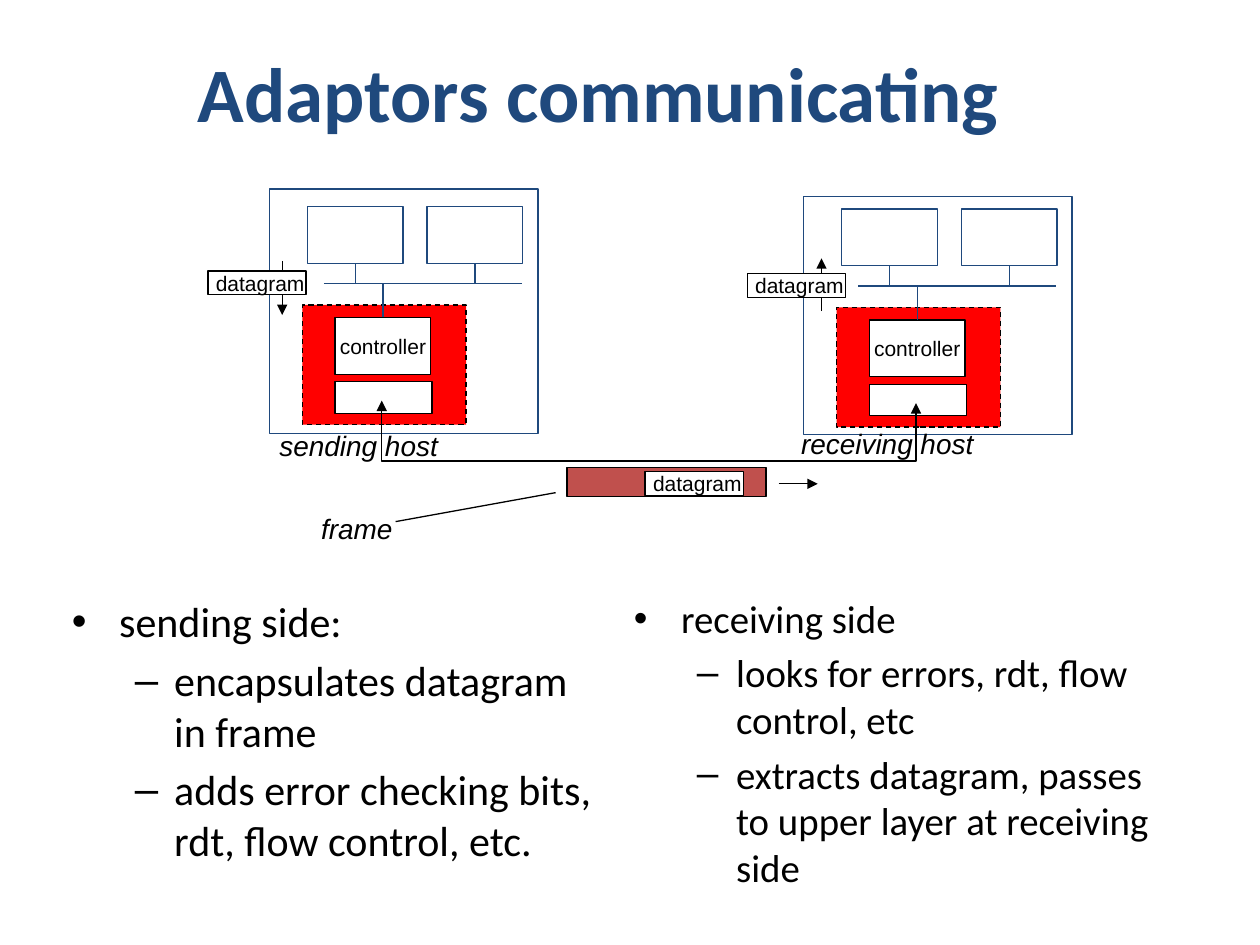
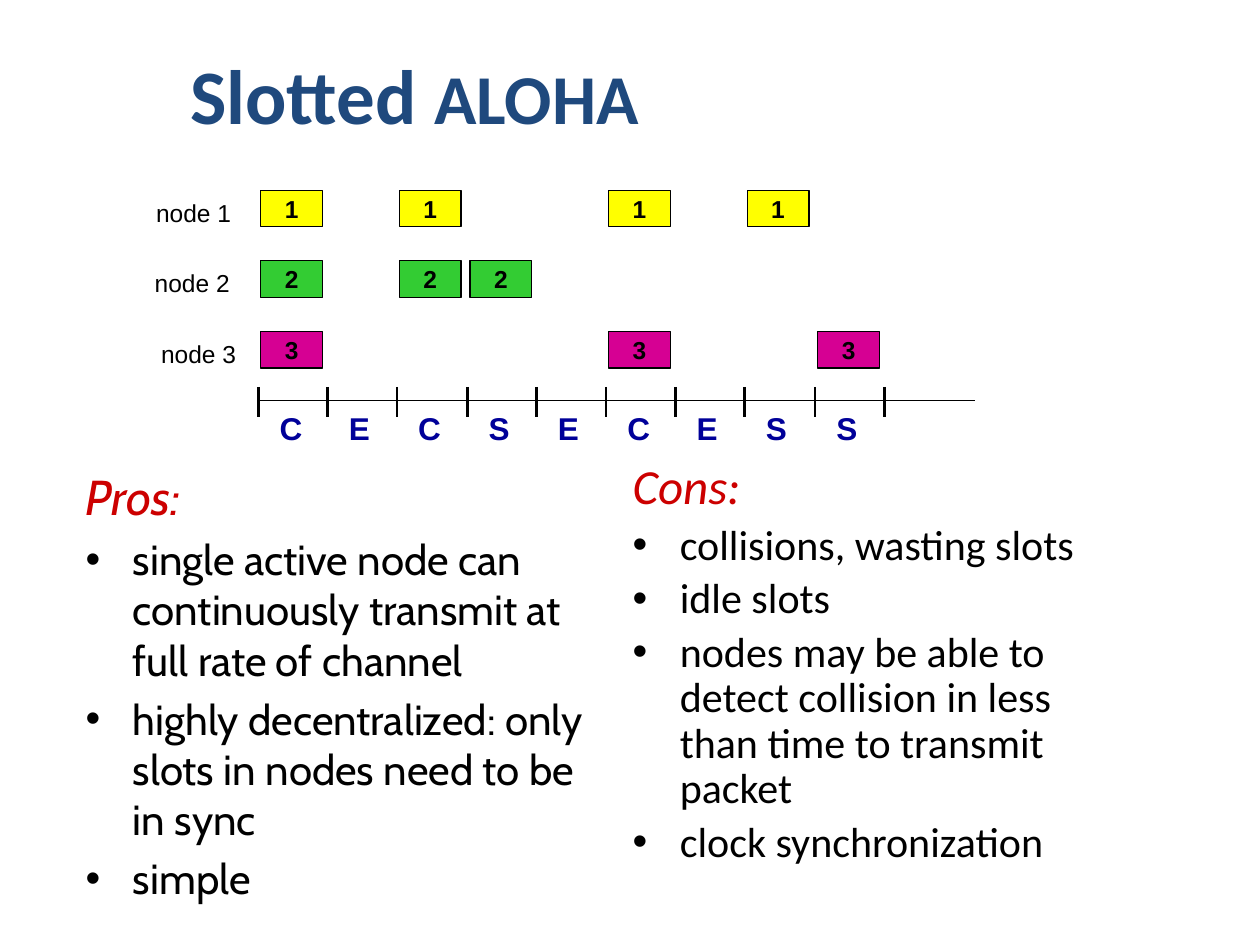
from dataclasses import dataclass
from typing import Any, NamedTuple

from lxml import etree
from pptx import Presentation
from pptx import util as u
from pptx.dml.color import RGBColor
from pptx.enum import dml, shapes, text
from pptx.oxml import ns

PX = 9144  # EMU in one px, 100 px to the inch
COLORS = {
    "ink": "000000", "paper": "FFFFFF", "navy": "1F497D", "adaptor": "FF0000",
    "frame": "C0504D", "heading": "CC0000", "outcome": "000099",
    "yellow": "FFFF00", "green": "33CC33", "magenta": "D60093",
}
TITLE = {"name": "Calibri", "bold": True}
SMALL = {"name": "Arial", "size": u.Pt(12)}
CAPTION = {"name": "Arial", "size": u.Pt(16), "italic": True}
NODE_LABEL = {"name": "Arial", "size": u.Pt(14)}
PACKET = {**NODE_LABEL, "bold": True}
OUTCOME = {"name": "Arial", "size": u.Pt(18), "bold": True}
DEVICE_SIZE = (76, 45)
TOP, BOTTOM = 0, 2  # connection sites of a rectangle


class Box(NamedTuple):
    left: int
    top: int
    width: int
    height: int


class Item(NamedTuple):
    words: str
    level: int = 0
    heading: bool = False


@dataclass
class Column:
    box: Box
    items: list[Item]
    font: str = "Calibri"
    size: float = 24
    spacing: float = 1.0


@dataclass
class Host:
    outline: Box
    adaptor: tuple[int, int]
    datagram: tuple[int, int]
    arrow: tuple[int, int, int]  # x, start y, end y
    caption: str
    caption_box: Box


@dataclass
class Node:
    label: str
    label_left: int
    color: str
    slots: list[int]


HOSTS = [
    Host(Box(214, 150, 213, 194), (240, 242), (165, 215), (224, 207, 250),
         "sending host", Box(212, 335, 146, 37)),
    Host(Box(638, 156, 213, 189), (664, 244), (593, 217), (652, 247, 205),
         "receiving host", Box(626, 334, 157, 37)),
]
ADAPTOR_COLUMNS = [
    Column(Box(47, 468, 445, 212), [
        Item("sending side:"),
        Item("encapsulates datagram in frame", 1),
        Item("adds error checking bits, rdt, flow control, etc.", 1),
    ]),
    Column(Box(493, 467, 447, 202), [
        Item("receiving side"),
        Item("looks for errors, rdt, flow control, etc", 1),
        Item("extracts datagram, passes to upper layer at receiving side", 1),
    ], size=22.2),
]
NODES = [
    Node("node 1", 114, "yellow", [0, 2, 5, 7]),
    Node("node 2", 113, "green", [0, 2, 3]),
    Node("node 3", 118, "magenta", [0, 5, 8]),
]
SLOT_OUTCOMES = "CECSECESS"
ALOHA_COLUMNS = [
    Column(Box(58, 365, 417, 350), [
        Item("Pros:", heading=True),
        Item("single active node can continuously transmit at full rate of channel"),
        Item("highly decentralized: only slots in nodes need to be in sync"),
        Item("simple"),
    ], font="Cabin"),
    Column(Box(492, 362, 417, 350), [
        Item("Cons:", heading=True),
        Item("collisions, wasting slots"),
        Item("idle slots"),
        Item("nodes may be able to detect collision in less than time to transmit packet"),
        Item("clock synchronization"),
    ], spacing=0.9),
]


def emu(*lengths: int) -> list[int]:
    return [length * PX for length in lengths]


def rgb(color: str) -> RGBColor:
    return RGBColor.from_string(COLORS[color])


def apply(target: Any, values: dict[str, Any]) -> None:
    for attribute, value in values.items():
        setattr(target, attribute, value)


def place(shape: Any, box: Box) -> None:
    apply(shape, dict(zip(box._fields, emu(*box))))


def write(paragraph: Any, words: str, style: dict[str, Any], color: str = "ink") -> None:
    run = paragraph.add_run()
    run.text = words
    apply(run.font, style)
    run.font.color.rgb = rgb(color)


def add_arrowheads(shape: Any, *ends: str) -> None:
    outline = shape._element.spPr.get_or_add_ln()
    for end in ends:
        etree.SubElement(outline, ns.qn(f"a:{end}"), type="triangle")


def style_line(line: Any, color: str = "ink", width: float = 0.75) -> None:
    line.color.rgb = rgb(color)
    line.width = u.Pt(width)


def add_box(slide: Any, box: Box, fill: str = "paper", line: str = "ink",
            words: str = "", style: dict[str, Any] = SMALL) -> Any:
    shape = slide.shapes.add_shape(shapes.MSO_SHAPE.RECTANGLE, *emu(*box))
    shape.shadow.inherit = False
    shape.fill.solid()
    shape.fill.fore_color.rgb = rgb(fill)
    style_line(shape.line, line)
    if words:
        apply(shape.text_frame, {
            "margin_left": 0, "margin_right": 0, "margin_top": 0, "margin_bottom": 0,
            "word_wrap": False, "vertical_anchor": text.MSO_ANCHOR.MIDDLE,
        })
        paragraph = shape.text_frame.paragraphs[0]
        paragraph.alignment = text.PP_ALIGN.CENTER
        write(paragraph, words, style)
    return shape


def add_label(slide: Any, box: Box, words: str, style: dict[str, Any],
              color: str = "ink") -> None:
    frame = slide.shapes.add_textbox(*emu(*box)).text_frame
    apply(frame, {"word_wrap": False, "auto_size": text.MSO_AUTO_SIZE.SHAPE_TO_FIT_TEXT})
    write(frame.paragraphs[0], words, style, color)


def add_line(slide: Any, start: tuple[int, int], end: tuple[int, int],
             color: str = "ink", width: float = 0.75, arrow: bool = False) -> Any:
    line = slide.shapes.add_connector(shapes.MSO_CONNECTOR.STRAIGHT, *emu(*start, *end))
    style_line(line.line, color, width)
    if arrow:
        add_arrowheads(line, "tailEnd")
    etree.SubElement(line._element.spPr, ns.qn("a:effectLst"))
    return line


def add_datagram(slide: Any, left: int, top: int) -> None:
    datagram = add_box(slide, Box(left, top, 78, 19), words="datagram")
    datagram.text_frame.margin_left = 5 * PX


def add_content_slide(deck: Any, title_box: Box, title_runs: list[tuple[str, int]],
                      columns: list[Column]) -> Any:
    """Add a slide with its title and two bulleted columns."""
    slide = deck.slides.add_slide(deck.slide_layouts[3])
    title, *bodies = slide.placeholders
    place(title, title_box)
    for words, size in title_runs:
        write(title.text_frame.paragraphs[0], words, {**TITLE, "size": u.Pt(size)}, "navy")
    for body, column in zip(bodies, columns):
        place(body, column.box)
        frame = body.text_frame
        frame.auto_size = text.MSO_AUTO_SIZE.NONE
        for index, item in enumerate(column.items):
            paragraph = frame.add_paragraph() if index else frame.paragraphs[0]
            apply(paragraph, {"level": item.level, "line_spacing": column.spacing})
            style = {"name": column.font, "size": u.Pt(28 if item.heading else column.size),
                     "italic": item.heading}
            write(paragraph, item.words, style, "heading" if item.heading else "ink")
            if item.heading:
                etree.SubElement(paragraph._p.get_or_add_pPr(), ns.qn("a:buNone"))
    return slide


def add_host(slide: Any, host: Host) -> None:
    """Draw a host: two monitors on a bus, and the adaptor below it."""
    left, top = host.adaptor
    bus_y = top - 17
    add_box(slide, host.outline, line="navy")
    arrow_x, start_y, end_y = host.arrow
    add_line(slide, (arrow_x, start_y), (arrow_x, end_y), arrow=True)
    adaptor = add_box(slide, Box(left, top, 130, 95), "adaptor")
    adaptor.line.dash_style = dml.MSO_LINE.DASH
    add_box(slide, Box(left + 26, top + 61, 77, 25))
    controller = add_box(slide, Box(left + 26, top + 10, *DEVICE_SIZE), words="controller")
    add_line(slide, (left + 17, bus_y), (left + 174, bus_y), "navy")
    first, second = (add_box(slide, Box(left + offset, top - 78, *DEVICE_SIZE), line="navy")
                     for offset in (4, 99))
    for device, side, offset in ((controller, TOP, 26), (first, BOTTOM, 4), (second, BOTTOM, 99)):
        x = left + offset + DEVICE_SIZE[0] // 2
        drop = add_line(slide, (x, bus_y), (x, bus_y), "navy")
        drop.end_connect(device, side)
    add_label(slide, host.caption_box, host.caption, CAPTION)
    add_datagram(slide, *host.datagram)


def build_adaptors(deck: Any) -> None:
    slide = add_content_slide(deck, Box(50, 10, 850, 125),
                              [("Adaptors communicating", 44)], ADAPTOR_COLUMNS)
    add_box(slide, Box(450, 371, 158, 23), "frame")
    for host in HOSTS:
        add_host(slide, host)
    cable_route = slide.shapes.build_freeform(303, 318, scale=PX)
    cable_route.add_line_segments([(303, 366), (727, 366), (727, 320)], close=False)
    cable = cable_route.convert_to_shape()
    cable.shadow.inherit = False
    cable.fill.background()
    style_line(cable.line)
    add_arrowheads(cable, "headEnd", "tailEnd")
    add_datagram(slide, 512, 374)
    add_line(slide, (618, 384), (649, 384), arrow=True)
    add_label(slide, Box(245, 401, 77, 37), "frame", CAPTION)
    add_line(slide, (314, 414), (441, 391))


def build_aloha(deck: Any) -> None:
    slide = add_content_slide(deck, Box(58, 12, 542, 125),
                              [("Slotted ", 44), ("ALOHA", 40)], ALOHA_COLUMNS)
    ticks = [205 + round(55.2 * slot) for slot in range(len(SLOT_OUTCOMES) + 1)]
    for row, node in enumerate(NODES):
        top = 151 + 56 * row
        add_label(slide, Box(node.label_left, top + 1, 84, 33), node.label, NODE_LABEL)
        for slot in node.slots:
            add_box(slide, Box(ticks[slot] + 2, top, 49, 29), node.color,
                    words=str(row + 1), style=PACKET)
    add_line(slide, (ticks[0], 318), (774, 318))
    for tick in ticks:
        add_line(slide, (tick, 307), (tick, 331), width=1.5)
    for tick, outcome in zip(ticks, SLOT_OUTCOMES):
        add_label(slide, Box(tick + 7, 320, 38, 40), outcome, OUTCOME, "outcome")


def main() -> None:
    deck = Presentation()
    deck.slide_width, deck.slide_height = emu(1000, 750)
    build_adaptors(deck)
    build_aloha(deck)
    deck.save("out.pptx")


if __name__ == "__main__":
    main()
